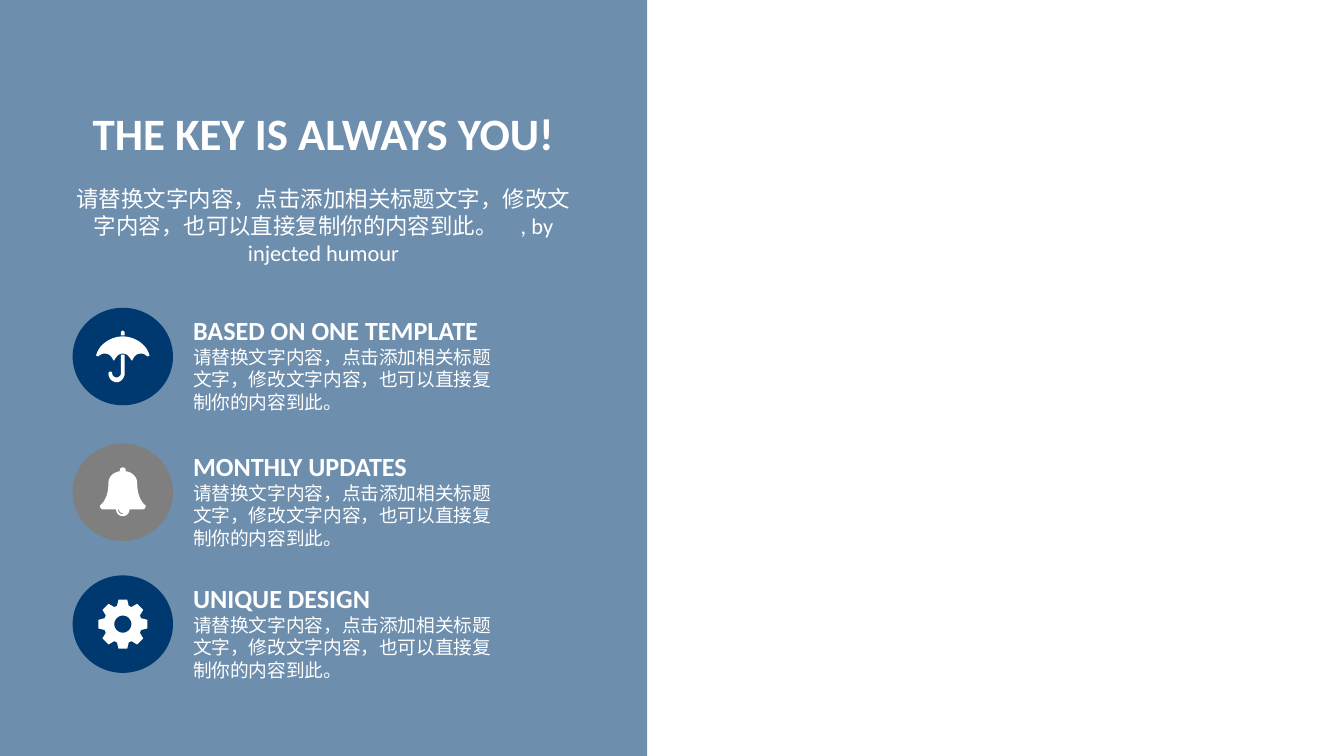
"""Build the key-message slide with three badged points."""
import math
from dataclasses import dataclass

import lxml.etree
import pptx
import pptx.dml.color
import pptx.enum.shapes
import pptx.enum.text
import pptx.oxml.ns
import pptx.util

Inches = pptx.util.Inches
Align = pptx.enum.text.PP_ALIGN
Fit = pptx.enum.text.MSO_AUTO_SIZE
Preset = pptx.enum.shapes.MSO_SHAPE


@dataclass(frozen=True)
class Theme:
    """Colours, font and type sizes of the slide."""
    navy: str = "003970"
    grey: str = "7F7F7F"
    white: str = "FFFFFF"
    font: str = "Calibri"
    title: float = 33.8
    intro: float = 16.9
    heading: float = 19.7
    body: float = 14.1


def assign(target, values):
    """Set each named attribute on the target."""
    for name, value in values.items():
        setattr(target, name, value)


def flatten(outline, steps=10):
    """Turn lines (x, y) and cubic curves (six numbers) into points."""
    points = [outline[0]]
    for part in outline[1:]:
        if len(part) == 2:
            points.append(part)
            continue
        controls = [points[-1], part[:2], part[2:4], part[4:]]
        for step in range(1, steps + 1):
            t = step / steps
            weights = ((1 - t) ** 3, 3 * t * (1 - t) ** 2, 3 * t * t * (1 - t), t ** 3)
            points.append(tuple(sum(w * c[axis] for w, c in zip(weights, controls))
                                for axis in (0, 1)))
    return points


def polar(radius, degrees):
    """Return the point at a radius and angle."""
    angle = math.radians(degrees)
    return radius * math.cos(angle), radius * math.sin(angle)


def gear(teeth=8, root=0.2, tip=0.26, hub=0.09):
    """Return the toothed rim and the hub hole."""
    profile = ((root, -18), (tip, -10), (tip, 10), (root, 18))
    rim = [polar(radius, tooth * 360 / teeth + turn)
           for tooth in range(teeth) for radius, turn in profile]
    return [rim, [polar(hub, turn) for turn in range(0, 360, 10)]]


UMBRELLA = [
    [(0.26, 0), (0.23, -0.02, 0.22, -0.03, 0.19, -0.03),
     (0.15, -0.03, 0.12, -0.01, 0.1, 0.04), (0.09, 0.04),
     (0.06, -0.01, 0.04, -0.03, 0, -0.03), (-0.04, -0.03, -0.06, -0.01, -0.09, 0.04),
     (-0.1, 0.04), (-0.12, -0.01, -0.15, -0.03, -0.19, -0.03),
     (-0.22, -0.03, -0.23, -0.02, -0.26, 0), (-0.28, -0.01),
     (-0.25, -0.13, -0.12, -0.21, 0, -0.21), (0.12, -0.21, 0.25, -0.13, 0.28, -0.01)],
    [(0.02, 0.18), (0.02, 0.22, -0.02, 0.27, -0.06, 0.27),
     (-0.12, 0.27, -0.15, 0.22, -0.15, 0.18), (-0.15, 0.15, -0.11, 0.15, -0.11, 0.18),
     (-0.11, 0.2, -0.09, 0.22, -0.06, 0.22), (-0.05, 0.22, -0.02, 0.2, -0.02, 0.18),
     (-0.02, -0.02), (0.02, -0.02)],
    [(0.02, -0.22), (-0.02, -0.22), (-0.02, -0.24), (-0.02, -0.28, 0.02, -0.28, 0.02, -0.24)],
]
BELL = [
    [(0.2, 0.18), (0.07, 0.18), (0.07, 0.22, 0.04, 0.25, 0, 0.25),
     (-0.04, 0.25, -0.07, 0.22, -0.07, 0.18), (-0.2, 0.18),
     (-0.22, 0.18, -0.24, 0.17, -0.24, 0.14), (-0.2, 0.11, -0.15, 0.04, -0.15, -0.1),
     (-0.15, -0.16, -0.1, -0.21, -0.03, -0.22), (-0.03, -0.24),
     (-0.03, -0.25, -0.01, -0.26, 0, -0.26), (0.01, -0.26, 0.03, -0.25, 0.03, -0.24),
     (0.03, -0.22), (0.1, -0.21, 0.15, -0.16, 0.15, -0.1),
     (0.15, 0.04, 0.2, 0.11, 0.24, 0.14), (0.24, 0.17, 0.22, 0.18, 0.2, 0.18)],
    [(0, 0.22), (-0.02, 0.22, -0.04, 0.2, -0.04, 0.18), (-0.05, 0.18),
     (-0.05, 0.21, -0.03, 0.23, 0, 0.23)],
]


class Painter:
    """Draw themed elements on the current slide."""

    def __init__(self, slide, theme):
        self.slide, self.theme = slide, theme

    def paint(self, shape, colour, opacity=None):
        """Fill a shape plainly, with optional opacity in percent."""
        shape.shadow.inherit = False
        shape.line.fill.background()
        shape.fill.solid()
        shape.fill.fore_color.rgb = pptx.dml.color.RGBColor.from_string(colour)
        if opacity:
            tint = shape.element.spPr.find(".//" + pptx.oxml.ns.qn("a:srgbClr"))
            lxml.etree.SubElement(tint, pptx.oxml.ns.qn("a:alpha"), val=str(opacity * 1000))

    def panel(self, box, colour, opacity):
        """Add a translucent rectangle."""
        area = self.slide.shapes.add_shape(Preset.RECTANGLE, *map(Inches, box))
        self.paint(area, colour, opacity)

    def typeset(self, frame, runs, align, layout):
        """Fill a text frame with (text, size, bold) runs, one to a line."""
        assign(frame, {"vertical_anchor": pptx.enum.text.MSO_ANCHOR.TOP,
                       "auto_size": Fit.SHAPE_TO_FIT_TEXT, "word_wrap": True, **layout})
        paragraph = frame.paragraphs[0]
        paragraph.alignment = align
        for index, (words, size, bold) in enumerate(runs):
            if index:
                paragraph.add_line_break()
            run = paragraph.add_run()
            run.text = words
            assign(run.font, {"name": self.theme.font, "size": pptx.util.Pt(size), "bold": bold})
            run.font.color.rgb = pptx.dml.color.RGBColor.from_string(self.theme.white)

    def title(self, box, words):
        """Place the title in front of the panel."""
        heading = self.slide.shapes.title
        assign(heading, dict(zip(("left", "top", "width", "height"), map(Inches, box))))
        heading.element.getparent().append(heading.element)
        self.typeset(heading.text_frame, [(words, self.theme.title, True)], Align.CENTER,
                     {"word_wrap": False})

    def text(self, box, runs, align=Align.LEFT, right=0, bottom=0):
        """Add a wrapped text box."""
        block = self.slide.shapes.add_textbox(*map(Inches, box))
        self.typeset(block.text_frame, runs, align,
                     {"margin_left": 0, "margin_top": 0,
                      "margin_right": Inches(right), "margin_bottom": Inches(bottom)})

    def badge(self, left, top, width, height, colour, icon):
        """Group a disc with a centred icon."""
        group = self.slide.shapes.add_group_shape()
        disc = group.shapes.add_shape(Preset.OVAL, *map(Inches, (left, top, width, height)))
        self.paint(disc, colour)
        contours = [[(Inches(left + width / 2 + x), Inches(top + height / 2 + y))
                     for x, y in flatten(outline)] for outline in icon]
        builder = group.shapes.build_freeform(*contours[0][0])
        builder.add_line_segments(contours[0][1:], close=True)
        for contour in contours[1:]:
            builder.move_to(*contour[0])
            builder.add_line_segments(contour[1:], close=True)
        self.paint(builder.convert_to_shape(), self.theme.white)


def main():
    """Compose and save the slide."""
    theme = Theme()
    deck = pptx.Presentation()
    assign(deck, {"slide_width": Inches(14.06), "slide_height": Inches(7.91)})
    painter = Painter(deck.slides.add_slide(deck.slide_layouts[5]), theme)

    filler = "请替换文字内容，点击添加相关标题文字，修改文字内容，也可以直接复制你的内容到此。"
    painter.panel((0, 0, 6.77, 7.91), theme.navy, 57)
    painter.text((0.69, 1.94, 5.39, 0.85),
                 [(filler + "　, by injected humour", theme.intro, False)], Align.CENTER)
    painter.title((0.85, 1.06, 5.07, 0.67), "THE KEY IS ALWAYS YOU!")

    points = (
        (3.22, "BASED ON ONE TEMPLATE", theme.navy, UMBRELLA),
        (4.64, "MONTHLY UPDATES", theme.grey, BELL),
        (6.02, "UNIQUE DESIGN", theme.navy, gear()),
    )
    for top, heading, colour, icon in points:
        painter.badge(0.76, top, 1.05, 1.02, colour, icon)
        painter.text((2.02, top + 0.07, 3.33, 1.09),
                     [(heading, theme.heading, True), (filler, theme.body, False)],
                     right=0.1, bottom=0.05)
    deck.save("out.pptx")


if __name__ == "__main__":
    main()
